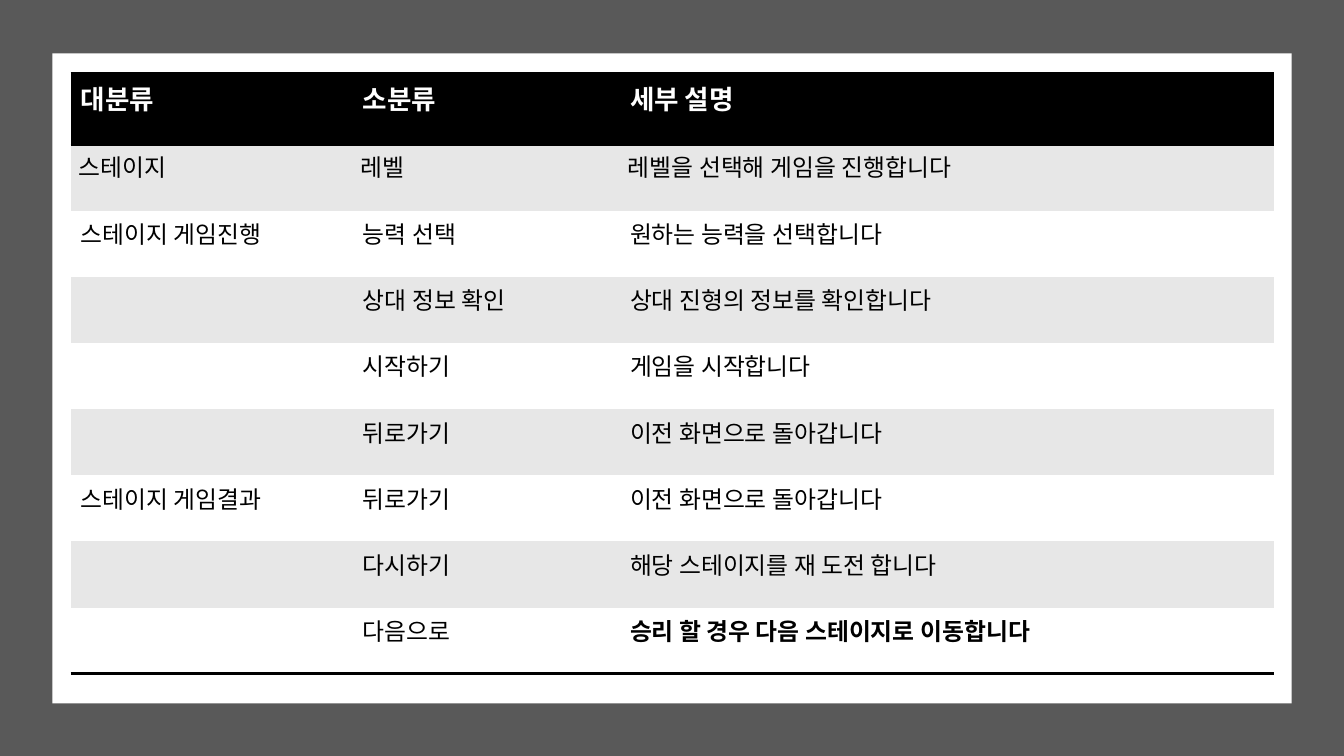
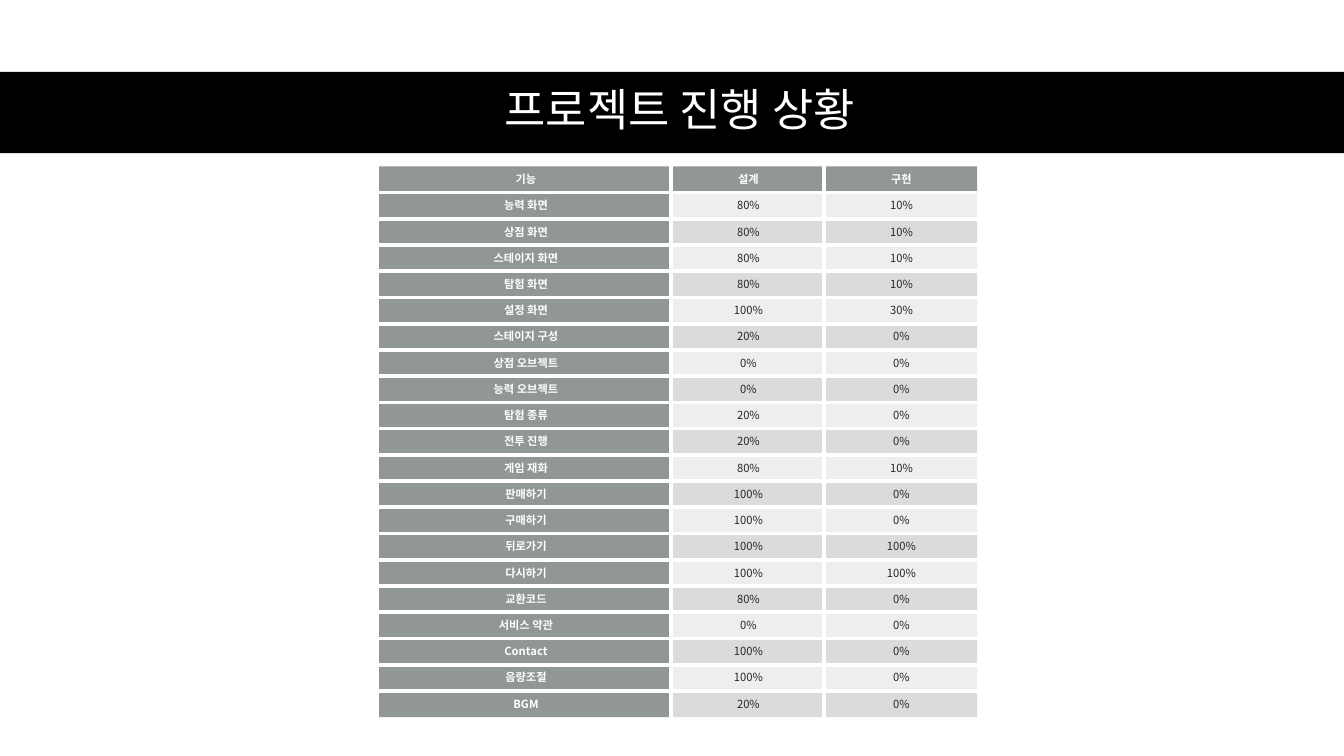
from dataclasses import dataclass
from typing import NamedTuple, Optional

from lxml.etree import SubElement
from pptx import Presentation
from pptx.dml.color import RGBColor
from pptx.enum.shapes import MSO_SHAPE
from pptx.enum.text import MSO_ANCHOR, MSO_AUTO_SIZE, PP_ALIGN
from pptx.oxml.ns import qn
from pptx.util import Inches, Pt

SLIDE_WIDTH, SLIDE_HEIGHT = Inches(13.33), Inches(7.5)
TITLE_ONLY, BLANK = 5, 6
NO_STYLE = "{2D5ABB26-0587-4C30-8999-92F81FD0307C}"


@dataclass(frozen=True)
class Theme:
    font: str = "Noto Sans CJK KR"
    black: str = "000000"
    white: str = "FFFFFF"
    backdrop: str = "595959"
    stripe: str = "E7E7E7"
    label: str = "636B68"
    value: str = "878E8B"
    value_text: str = "262626"
    title_size: int = 32
    heading_size: int = 19
    body_size: int = 17
    small_size: int = 8


THEME = Theme()


class Area(NamedTuple):
    """A rectangle in percent of the slide's width and height."""
    left: float
    top: float
    width: float
    height: float

    def lengths(self) -> tuple[int, ...]:
        sides = (SLIDE_WIDTH, SLIDE_HEIGHT) * 2
        return tuple(round(side * share / 100) for side, share in zip(sides, self))


class TextStyle(NamedTuple):
    size: int
    color: str
    bold: bool = False
    align: PP_ALIGN = PP_ALIGN.LEFT
    spacing: float = 1.0


class Insets(NamedTuple):
    left: float
    top: float
    right: float
    bottom: float


class Border(NamedTuple):
    color: str
    points: float


@dataclass(frozen=True)
class CellStyle:
    text: TextStyle
    fill: str
    insets: Insets
    opacity: int = 100
    left: Optional[Border] = None
    right: Optional[Border] = None
    top: Optional[Border] = None
    bottom: Optional[Border] = None


FEATURES = [
    ("대분류", "소분류", "세부 설명"),
    ("스테이지", "레벨", "레벨을 선택해 게임을 진행합니다"),
    ("스테이지 게임진행", "능력 선택", "원하는 능력을 선택합니다"),
    ("", "상대 정보 확인", "상대 진형의 정보를 확인합니다"),
    ("", "시작하기", "게임을 시작합니다"),
    ("", "뒤로가기", "이전 화면으로 돌아갑니다"),
    ("스테이지 게임결과", "뒤로가기", "이전 화면으로 돌아갑니다"),
    ("", "다시하기", "해당 스테이지를 재 도전 합니다"),
    ("", "다음으로", "승리 할 경우 다음 스테이지로 이동합니다"),
]

PROGRESS = [
    ("기능", "설계", "구현"),
    ("능력 화면", "80%", "10%"),
    ("상점 화면", "80%", "10%"),
    ("스테이지 화면", "80%", "10%"),
    ("탐험 화면", "80%", "10%"),
    ("설정 화면", "100%", "30%"),
    ("스테이지 구성", "20%", "0%"),
    ("상점 오브젝트", "0%", "0%"),
    ("능력 오브젝트", "0%", "0%"),
    ("탐험 종류", "20%", "0%"),
    ("전투 진행", "20%", "0%"),
    ("게임 재화", "80%", "10%"),
    ("판매하기", "100%", "0%"),
    ("구매하기", "100%", "0%"),
    ("뒤로가기", "100%", "100%"),
    ("다시하기", "100%", "100%"),
    ("교환코드", "80%", "0%"),
    ("서비스 약관", "0%", "0%"),
    ("Contact", "100%", "0%"),
    ("음량조절", "100%", "0%"),
    ("BGM", "20%", "0%"),
]


def write(frame, text: str, style: TextStyle) -> None:
    para = frame.paragraphs[0]
    para.alignment = style.align
    para.line_spacing = style.spacing
    span = para.add_run()
    span.text = text
    span.font.size = Pt(style.size)
    span.font.bold = style.bold
    span.font.color.rgb = RGBColor.from_string(style.color)
    span.font.name = THEME.font
    properties = span.font._element
    east_asian = SubElement(properties, qn("a:ea"), typeface=THEME.font)
    properties.find(qn("a:latin")).addnext(east_asian)


def add_rectangle(page, area: Area, color: str):
    box = page.shapes.add_shape(MSO_SHAPE.RECTANGLE, *area.lengths())
    box.shadow.inherit = False
    box.fill.solid()
    box.fill.fore_color.rgb = RGBColor.from_string(color)
    box.line.fill.background()
    return box


def set_borders(cell, style: CellStyle) -> None:
    """Put the four edges, drawn or empty, ahead of the cell's fill."""
    properties = cell._tc.get_or_add_tcPr()
    edges = (("L", style.left), ("R", style.right), ("T", style.top), ("B", style.bottom))
    for position, (side, border) in enumerate(edges):
        line = SubElement(properties, qn(f"a:ln{side}"))
        properties.insert(position, line)
        if border is None:
            SubElement(line, qn("a:noFill"))
        else:
            line.set("w", str(Pt(border.points)))
            paint = SubElement(line, qn("a:solidFill"))
            SubElement(paint, qn("a:srgbClr"), val=border.color)


def format_cell(cell, text: str, style: CellStyle) -> None:
    (cell.margin_left, cell.margin_top,
     cell.margin_right, cell.margin_bottom) = map(Inches, style.insets)
    cell.fill.solid()
    cell.fill.fore_color.rgb = RGBColor.from_string(style.fill)
    if style.opacity < 100:
        color = cell._tc.tcPr.find(f"{qn('a:solidFill')}/{qn('a:srgbClr')}")
        SubElement(color, qn("a:alpha"), val=str(style.opacity * 1000))
    set_borders(cell, style)
    if text:
        write(cell.text_frame, text, style.text)


def add_grid(page, area: Area, rows, column_weights, header_weight: float, style_of) -> None:
    """Draw rows as a table; style_of(row, column) gives each cell's style."""
    left, top, width, height = area.lengths()
    table = page.shapes.add_table(
        len(rows), len(column_weights), left, top, width, height).table
    table.first_row = table.horz_banding = False
    table._tbl.tblPr.find(qn("a:tableStyleId")).text = NO_STYLE
    for column, weight in zip(table.columns, column_weights):
        column.width = round(width * weight / sum(column_weights))
    row_weights = [header_weight] + [1] * (len(rows) - 1)
    for row, weight in zip(table.rows, row_weights):
        row.height = round(height * weight / sum(row_weights))
    for row_index, texts in enumerate(rows):
        for column_index, text in enumerate(texts):
            format_cell(table.cell(row_index, column_index), text,
                        style_of(row_index, column_index))


def feature_style(row: int, column: int) -> CellStyle:
    rule = Border(THEME.black, 2)
    last_row = len(FEATURES) - 1
    normal = Insets(0.1, 0.05, 0.1, 0.05)
    if row == 0:
        heading = TextStyle(THEME.heading_size, THEME.white, bold=True)
        return CellStyle(heading, THEME.black, normal, top=rule, bottom=rule)
    emphasized = row == last_row and column == 2
    return CellStyle(
        TextStyle(THEME.body_size, THEME.black, bold=emphasized),
        THEME.stripe if row % 2 else THEME.white,
        Insets(0.08, 0.04, 0.08, 0.04) if row == 1 else normal,
        top=rule if row == 1 else None,
        bottom=rule if row == last_row else None,
    )


def progress_style(row: int, column: int) -> CellStyle:
    gap = Border(THEME.white, 3)
    is_label = row == 0 or column == 0
    text_color = THEME.white if is_label else THEME.value_text
    value_opacity = 15 if row % 2 else 30
    return CellStyle(
        TextStyle(THEME.small_size, text_color, is_label, PP_ALIGN.CENTER, 1.07),
        THEME.label if is_label else THEME.value,
        Insets(0.05, 0.03, 0.03, 0.03),
        opacity=70 if is_label else value_opacity,
        left=gap if column > 0 else None,
        right=gap if column < 2 else None,
        top=gap if row > 0 else None,
        bottom=gap if row < len(PROGRESS) - 1 else None,
    )


def add_title_band(page, text: str) -> None:
    band = add_rectangle(page, Area(0, 9.5, 100, 10.75), THEME.black)
    title = page.shapes.title
    title._element.addprevious(band._element)
    title.left, title.top, title.width, title.height = Area(4.6, 9.35, 91.95, 10.8).lengths()
    frame = title.text_frame
    frame.word_wrap = True
    frame.auto_size = MSO_AUTO_SIZE.NONE
    frame.vertical_anchor = MSO_ANCHOR.MIDDLE
    write(frame, text, TextStyle(THEME.title_size, THEME.white,
                                 align=PP_ALIGN.CENTER, spacing=0.9))


def build_features(deck) -> None:
    page = deck.slides.add_slide(deck.slide_layouts[BLANK])
    add_rectangle(page, Area(0, 0, 100, 100), THEME.backdrop)
    add_rectangle(page, Area(3.9, 7.05, 92.2, 86), THEME.white)
    add_grid(page, Area(5.25, 9.7, 89.55, 79.45), FEATURES,
             (2.8, 2.65, 6.49), 1.08, feature_style)


def build_progress(deck) -> None:
    page = deck.slides.add_slide(deck.slide_layouts[TITLE_ONLY])
    add_title_band(page, "프로젝트 진행 상황")
    add_grid(page, Area(28.2, 22, 44.5, 72.95), PROGRESS,
             (2.9, 1.52, 1.52), 1, progress_style)


def main() -> None:
    deck = Presentation()
    deck.slide_width, deck.slide_height = SLIDE_WIDTH, SLIDE_HEIGHT
    build_features(deck)
    build_progress(deck)
    deck.save("out.pptx")


if __name__ == "__main__":
    main()
